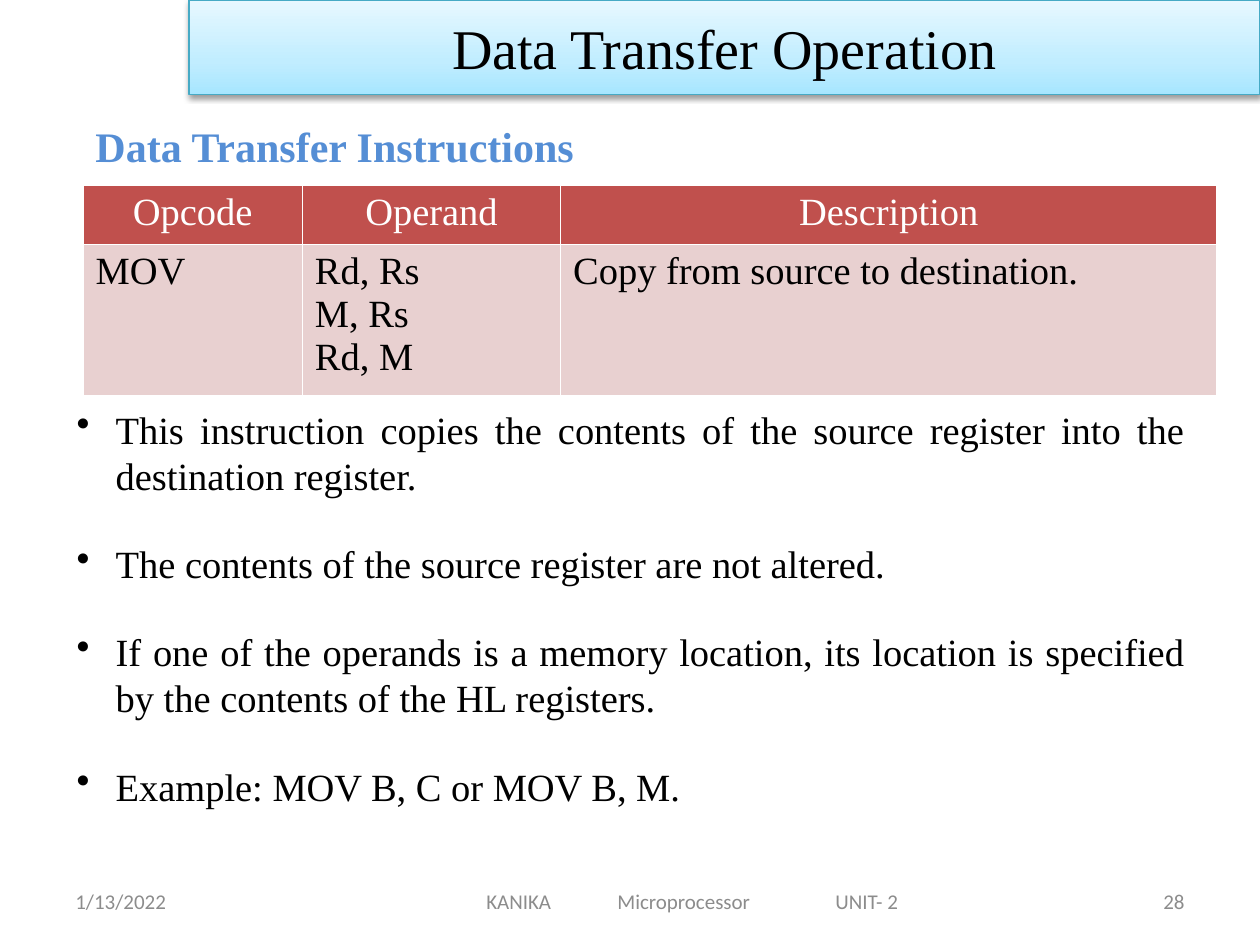
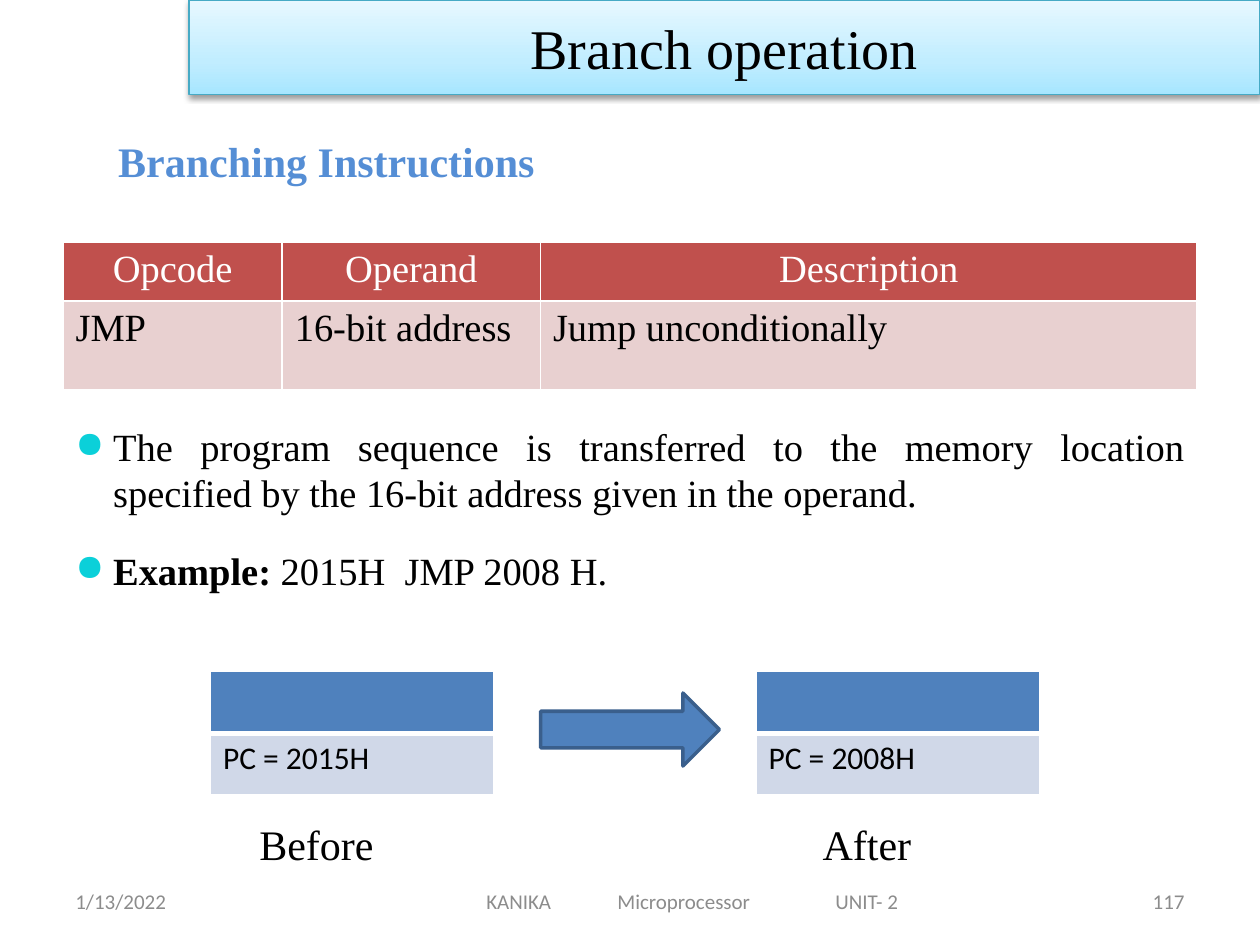
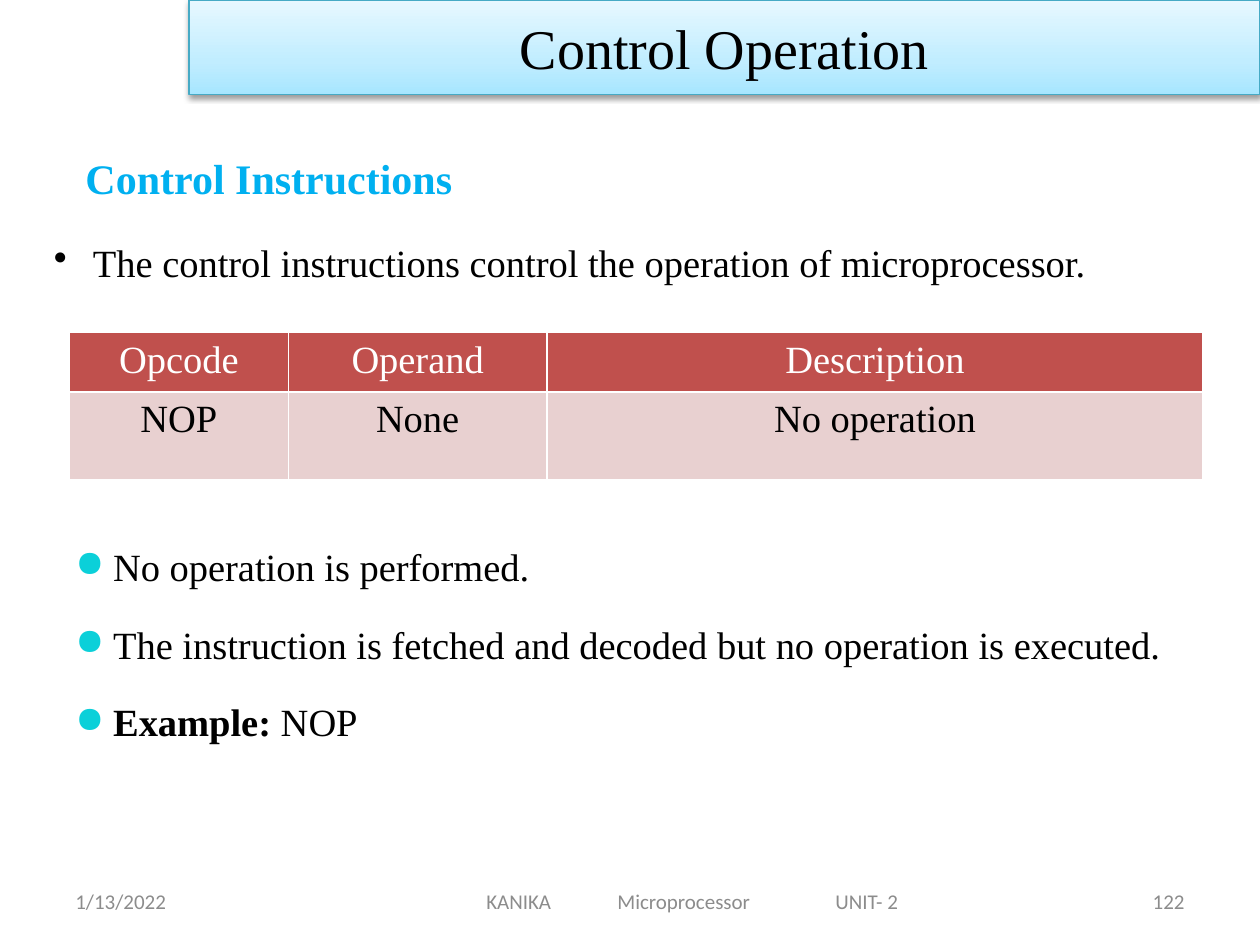
from lxml import etree
from pptx import Presentation
from pptx.dml.color import RGBColor
from pptx.enum.shapes import MSO_SHAPE
from pptx.enum.text import MSO_ANCHOR, MSO_AUTO_SIZE, PP_ALIGN
from pptx.oxml import parse_xml
from pptx.oxml.ns import qn
from pptx.util import Inches, Pt

LEFT, CENTER, RIGHT, JUSTIFY = PP_ALIGN.LEFT, PP_ALIGN.CENTER, PP_ALIGN.RIGHT, PP_ALIGN.JUSTIFY
MIDDLE = MSO_ANCHOR.MIDDLE
NO_AUTOFIT = MSO_AUTO_SIZE.NONE
RIGHT_ARROW = MSO_SHAPE.RIGHT_ARROW

SERIF, SANS = "Times New Roman", "Calibri"
BLACK, WHITE, GREY = "000000", "FFFFFF", "8C8C8C"
HEADING_BLUE, SKY = "558ED5", "00B0F0"
RED, PINK = "C0504D", "E8D0D0"
BLUE, PALE_BLUE, DARK_BLUE = "4F81BD", "D0D8E8", "3A5F8C"

NS = 'xmlns:a="http://schemas.openxmlformats.org/drawingml/2006/main"'
BAND_STYLE = f"""<a:spPr {NS}>
  <a:prstGeom prst="rect"><a:avLst/></a:prstGeom>
  <a:gradFill rotWithShape="1">
    <a:gsLst>
      <a:gs pos="0"><a:srgbClr val="A7E6FF"/></a:gs>
      <a:gs pos="35000"><a:srgbClr val="C1EDFF"/></a:gs>
      <a:gs pos="100000"><a:srgbClr val="E7F8FF"/></a:gs>
    </a:gsLst>
    <a:lin ang="16200000" scaled="1"/>
  </a:gradFill>
  <a:ln w="9525"><a:solidFill><a:srgbClr val="46AAC5"/></a:solidFill></a:ln>
  <a:effectLst>
    <a:outerShdw blurRad="40000" dist="20000" dir="5400000" rotWithShape="0">
      <a:srgbClr val="000000"><a:alpha val="38000"/></a:srgbClr>
    </a:outerShdw>
  </a:effectLst>
</a:spPr>"""

# Bullet styles: character, hanging indent, extra bullet XML
DOT = ("•", 0.31, [])
TEAL_DOT = ("●", 0.3, [f'<a:buClr {NS}><a:srgbClr val="0BD0D9"/></a:buClr>',
                       f'<a:buSzPct {NS} val="95000"/>'])

BODY = dict(size=22)
LABEL = dict(size=24)
HEADING = dict(size=24, color=HEADING_BLUE, bold=True)
DOT_LIST = dict(size=22, align=JUSTIFY, bullet=DOT, after=24)
TEAL_LIST = dict(size=22, align=JUSTIFY, bullet=TEAL_DOT, after=18)
FOOTER = dict(size=12, font=SANS, color=GREY)


def write_text(tf, paragraphs, size, font=SERIF, color=BLACK, bold=False,
               align=LEFT, bullet=None, after=0):
    """Fill a text frame; a paragraph is a string or a list of (text, bold) runs."""
    for i, runs in enumerate(paragraphs):
        p = tf.paragraphs[0] if i == 0 else tf.add_paragraph()
        p.alignment = align
        if after:
            p.space_after = Pt(after)
        if bullet:
            char, indent, extras = bullet
            pPr = p._p.get_or_add_pPr()
            pPr.set("marL", str(Inches(indent)))
            pPr.set("indent", str(-Inches(indent)))
            for xml in extras:
                pPr.append(parse_xml(xml))
            etree.SubElement(pPr, qn("a:buChar")).set("char", char)
        for text, is_bold in [(runs, bold)] if isinstance(runs, str) else runs:
            r = p.add_run()
            r.text = text
            r.font.size, r.font.name, r.font.bold = Pt(size), font, is_bold
            r.font.color.rgb = RGBColor.from_string(color)


def add_grid(s, left, top, widths, heights, rows, fills, styles, rule):
    """Add a table with white borders; rule is the width of the line under its header."""
    frame = s.shapes.add_table(len(heights), len(widths), Inches(left), Inches(top),
                               Inches(sum(widths)), Inches(sum(heights)))
    table = frame.table
    for column, width in zip(table.columns, widths):
        column.width = Inches(width)
    for i, (row, height) in enumerate(zip(table.rows, heights)):
        row.height = Inches(height)
        for cell, paragraphs in zip(row.cells, rows[i]):
            write_text(cell.text_frame, paragraphs, **styles[i])
            borders = dict(lnL=1, lnR=1, lnT=rule if i else 1, lnB=1 if i else rule)
            for side, width in borders.items():
                ln = etree.SubElement(cell._tc.get_or_add_tcPr(), qn(f"a:{side}"), w=str(Pt(width)))
                fill = etree.SubElement(ln, qn("a:solidFill"))
                etree.SubElement(fill, qn("a:srgbClr"), val=WHITE)
            cell.fill.solid()
            cell.fill.fore_color.rgb = RGBColor.from_string(fills[i])


# Each instruction: left, top, body row height, cells, cell alignment
slides = [
    dict(
        number="28", title="Data Transfer Operation",
        heading=((0.66, 0.91, 4.04, 0.51), ["Data Transfer Instructions"], HEADING),
        instruction=(0.66, 1.47, 1.2, [["MOV"], ["Rd, Rs", "M, Rs", "Rd, M"],
                                       ["Copy from source to destination."]], LEFT),
        texts=[((0.51, 3.17, 8.99, 3.33), [
            "This instruction copies the contents of the source register into the "
            "destination register.",
            "The contents of the source register are not altered.",
            "If one of the operands is a memory location, its location is specified by "
            "the contents of the HL registers.",
            "Example: MOV B, C or MOV B, M.",
        ], DOT_LIST)],
    ),
    dict(
        number="117", title="Branch operation",
        heading=((0.84, 1.03, 3.54, 0.51), ["Branching Instructions"], HEADING),
        instruction=(0.5, 1.92, 0.7, [["JMP"], ["16-bit address"],
                                      ["Jump unconditionally"]], LEFT),
        texts=[
            ((0.5, 3.31, 9, 3.4), [
                "The program sequence is transferred to the memory location specified by "
                "the 16-bit address given in the operand.",
                [("Example:", True), (" 2015H  JMP 2008 H.", False)],
            ], TEAL_LIST),
            ((1.96, 6.45, 1.75, 0.51), ["Before"], LABEL),
            ((6.43, 6.45, 1.75, 0.51), ["After"], LABEL),
        ],
        counters=[(1.67, "PC = 2015H"), (6, "PC = 2008H")],
    ),
    dict(
        number="122", title="Control Operation",
        heading=((0.58, 1.16, 3.14, 0.5), ["Control Instructions"], HEADING | dict(color=SKY)),
        instruction=(0.55, 2.64, 0.7, [["NOP"], ["None"], ["No operation"]], CENTER),
        texts=[
            ((0.33, 1.85, 9.33, 0.47),
             ["The control instructions control the operation of microprocessor."],
             BODY | dict(bullet=DOT)),
            ((0.5, 4.26, 9, 3.4), [
                "No operation is performed.",
                "The instruction is fetched and decoded but no operation is executed.",
                [("Example:", True), (" NOP", False)],
            ], TEAL_LIST),
        ],
    ),
]

prs = Presentation()
prs.slide_width, prs.slide_height = Inches(10), Inches(7.5)

for data in slides:
    s = prs.slides.add_slide(prs.slide_layouts[5])

    # Title band
    title = s.shapes.title
    title.left, title.top, title.width, title.height = map(Inches, (1.5, 0, 8.5, 0.75))
    for element in list(parse_xml(BAND_STYLE)):
        title._element.spPr.append(element)
    title.text_frame.auto_size = NO_AUTOFIT
    title.text_frame.vertical_anchor = MIDDLE
    write_text(title.text_frame, [data["title"]], 32, align=CENTER)

    # Heading and body text
    for box, paragraphs, style in [data["heading"], *data["texts"]]:
        tf = s.shapes.add_textbox(*map(Inches, box)).text_frame
        tf.word_wrap = box != data["heading"][0]
        write_text(tf, paragraphs, **style)

    # Instruction table
    left, top, height, cells, align = data["instruction"]
    add_grid(s, left, top, [1.74, 2.05, 5.21], [0.47, height],
             [[["Opcode"], ["Operand"], ["Description"]], cells], [RED, PINK],
             [BODY | dict(color=WHITE, align=CENTER), BODY | dict(align=align)], rule=1)

    # Program counter before and after the jump
    if "counters" in data:
        for left, value in data["counters"]:
            add_grid(s, left, 5.33, [2.25], [0.49, 0.49], [[[]], [[value]]],
                     [BLUE, PALE_BLUE], [dict(size=18), dict(size=18, font=SANS)], rule=3)
        arrow = s.shapes.add_shape(RIGHT_ARROW, *map(Inches, (4.29, 5.5, 1.42, 0.58)))
        arrow.shadow.inherit = False
        arrow.fill.solid()
        arrow.fill.fore_color.rgb = RGBColor.from_string(BLUE)
        arrow.line.color.rgb = RGBColor.from_string(DARK_BLUE)
        arrow.line.width = Pt(2)

    # Footer: date, course with tab stops, slide number
    for left, width, text, align in [(0.5, 2.33, "1/13/2022", LEFT),
                                     (2.75, 5.5, "KANIKA\tMicroprocessor\tUNIT- 2", LEFT),
                                     (7.17, 2.33, data["number"], RIGHT)]:
        tf = s.shapes.add_textbox(Inches(left), Inches(6.95), Inches(width), Inches(0.4)).text_frame
        tf.word_wrap = True
        tf.vertical_anchor = MIDDLE
        write_text(tf, [text], align=align, **FOOTER)
        if "\t" in text:
            tf.margin_left = Inches(1.11)
            tabs = etree.SubElement(tf.paragraphs[0]._p.get_or_add_pPr(), qn("a:tabLst"))
            for stop in (1.04, 2.77):
                etree.SubElement(tabs, qn("a:tab"), pos=str(Inches(stop)), algn="l")

prs.save("out.pptx")
